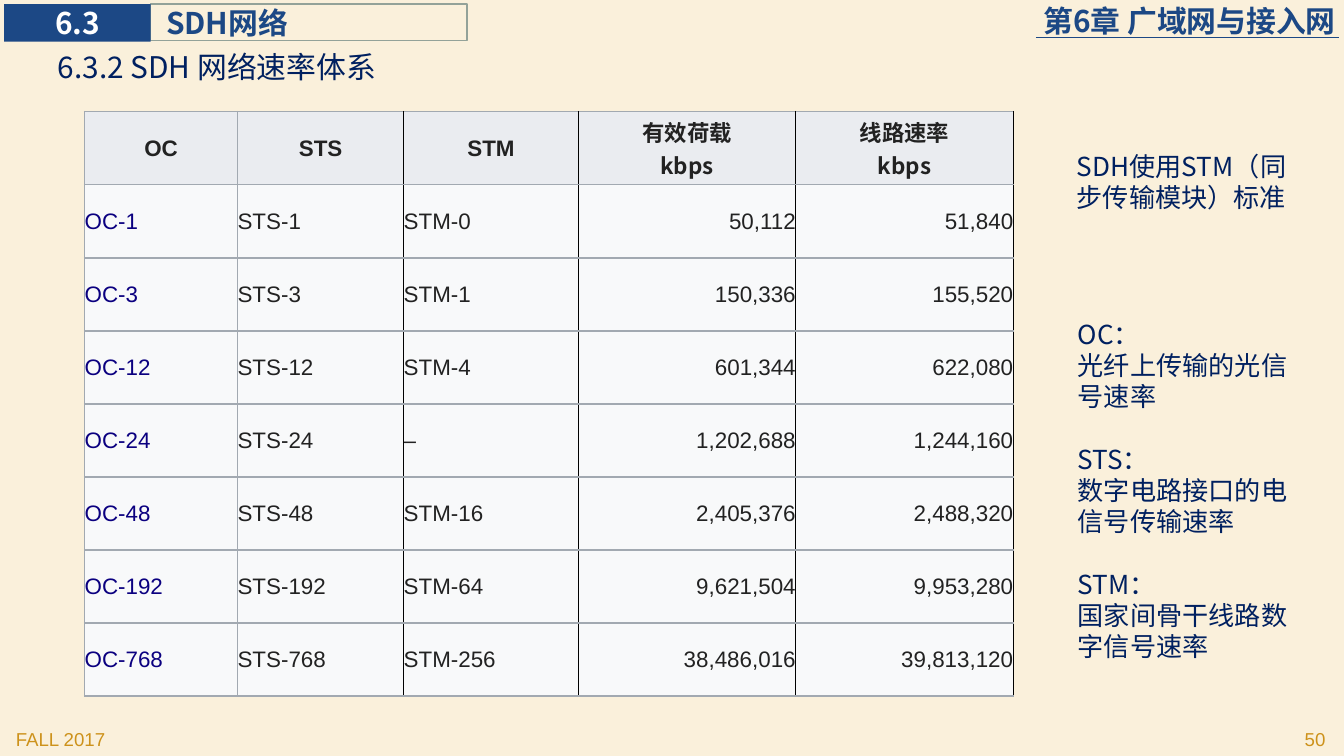
import dataclasses

import pptx
import pptx.dml.color
import pptx.enum.shapes
import pptx.enum.text
import pptx.oxml
import pptx.oxml.ns
import pptx.util
from lxml import etree

Cm = pptx.util.Cm
Pt = pptx.util.Pt
ALIGN = pptx.enum.text.PP_ALIGN
ANCHOR = pptx.enum.text.MSO_ANCHOR


@dataclasses.dataclass(frozen=True)
class Theme:
    background: str = "FAF0DB"
    brand: str = "1C4885"
    frame: str = "93A299"
    white: str = "FFFFFF"
    body: str = "002060"
    footer: str = "CD921B"
    cell_text: str = "222222"
    carrier: str = "0B0080"
    header_fill: str = "EAECF0"
    cell_fill: str = "F8F9FA"
    grid: str = "A2A9B1"
    divider: str = "000000"
    latin: str = "Arial"
    chinese: str = "Noto Sans CJK SC"
    heading_size: float = 16
    note_size: float = 14
    note_line: float = 16.75
    table_size: float = 12
    footer_size: float = 10


@dataclasses.dataclass(frozen=True)
class Box:
    left: float
    top: float
    width: float
    height: float

    def inner(self, left, top, width, height):
        return Box(self.left + left, self.top + top, width, height)

    def lengths(self):
        return Cm(self.left), Cm(self.top), Cm(self.width), Cm(self.height)


THEME = Theme()


def rgb(color):
    return pptx.dml.color.RGBColor.from_string(color)


def add_run(paragraph, text, size, color, font, bold=False):
    run = paragraph.add_run()
    run.text = text
    run.font.size = Pt(size)
    run.font.bold = bold
    run.font.name = font
    run.font.color.rgb = rgb(color)
    east_asian = etree.SubElement(run.font._element, pptx.oxml.ns.qn("a:ea"))
    east_asian.set("typeface", font)


def set_frame(frame, anchor, insets=None, wrap=True):
    frame.word_wrap = wrap
    frame.auto_size = pptx.enum.text.MSO_AUTO_SIZE.NONE
    frame.vertical_anchor = anchor
    if insets is not None:
        frame.margin_left = Cm(insets)
        frame.margin_top = frame.margin_right = frame.margin_bottom = 0


def add_text(slide, box, text, size, color, font, bold=False,
             align=ALIGN.LEFT, anchor=ANCHOR.TOP, insets=None):
    shape = slide.shapes.add_textbox(*box.lengths())
    set_frame(shape.text_frame, anchor, insets)
    paragraph = shape.text_frame.paragraphs[0]
    paragraph.alignment = align
    add_run(paragraph, text, size, color, font, bold)


def add_label(slide, box, text, color, align, inset, fill=None, line=None):
    shape = slide.shapes.add_shape(
        pptx.enum.shapes.MSO_SHAPE.RECTANGLE, *box.lengths())
    shape.shadow.inherit = False
    if fill:
        shape.fill.solid()
        shape.fill.fore_color.rgb = rgb(fill)
    else:
        shape.fill.background()
    if line:
        shape.line.color.rgb = rgb(line)
        shape.line.width = Pt(0.75)
    else:
        shape.line.fill.background()
    set_frame(shape.text_frame, ANCHOR.MIDDLE, inset, wrap=fill is None)
    paragraph = shape.text_frame.paragraphs[0]
    paragraph.alignment = align
    add_run(paragraph, text, THEME.heading_size, color, THEME.chinese, True)


def add_header(slide, box):
    add_text(slide, box.inner(box.width - 9.7, 0.05, 9.55, 0.69), "第6章 广域网与接入网",
             THEME.heading_size, THEME.brand, THEME.chinese, True,
             ALIGN.RIGHT, ANCHOR.MIDDLE, 0)
    right, level = box.left + box.width - 0.1, box.top + 0.71
    rule = slide.shapes.add_connector(
        pptx.enum.shapes.MSO_CONNECTOR.STRAIGHT,
        Cm(right - 5.72), Cm(level), Cm(right), Cm(level))
    rule.line.color.rgb = rgb(THEME.brand)
    rule.line.width = Pt(0.5)
    etree.SubElement(rule._element.spPr, pptx.oxml.ns.qn("a:effectLst"))
    add_label(slide, box.inner(2.84, 0.08, 5.99, 0.69), "SDH网络",
              THEME.brand, ALIGN.LEFT, 0.3, line=THEME.frame)
    add_label(slide, box.inner(0.08, 0.08, 2.77, 0.71), "6.3",
              THEME.white, ALIGN.CENTER, 0, fill=THEME.brand)


def add_title(slide, box):
    title = slide.shapes.title
    title.left, title.top, title.width, title.height = box.lengths()
    set_frame(title.text_frame, ANCHOR.MIDDLE)
    paragraph = title.text_frame.paragraphs[0]
    paragraph.alignment = ALIGN.LEFT
    add_run(paragraph, "6.3.2 SDH 网络速率体系", THEME.heading_size,
            THEME.body, THEME.chinese)


def set_borders(cell, **borders):
    properties = cell._tc.get_or_add_tcPr()
    for side in "LRTB":
        color, width = borders[side]
        properties.append(pptx.oxml.parse_xml(
            f'<a:ln{side} {pptx.oxml.ns.nsdecls("a")} w="{Pt(width)}">'
            f'<a:solidFill><a:srgbClr val="{color}"/></a:solidFill></a:ln{side}>'))


def fill_cell(cell, lines, row, column):
    header = row == 0
    grid, divider = (THEME.grid, 1), (THEME.divider, 0.75)
    set_borders(cell, L=grid if column < 2 else divider,
                R=grid if column < 1 else divider, T=grid, B=grid)
    cell.fill.solid()
    cell.fill.fore_color.rgb = rgb(THEME.header_fill if header else THEME.cell_fill)
    cell.margin_left = cell.margin_right = cell.margin_top = cell.margin_bottom = 0
    cell.vertical_anchor = ANCHOR.MIDDLE
    numeric = column > 2
    align = ALIGN.CENTER if header else ALIGN.RIGHT if numeric else ALIGN.LEFT
    color = THEME.carrier if column == 0 and not header else THEME.cell_text
    font = THEME.chinese if header and numeric else THEME.latin
    frame = cell.text_frame
    for index, line in enumerate(lines):
        paragraph = frame.add_paragraph() if index else frame.paragraphs[0]
        paragraph.alignment = align
        add_run(paragraph, line, THEME.table_size, color, font, header)


def add_rate_table(slide, box):
    headings = [["OC"], ["STS"], ["STM"], ["有效荷载", "kbps"], ["线路速率", "kbps"]]
    rates = [
        (1, "STM-0", 50112, 51840),
        (3, "STM-1", 150336, 155520),
        (12, "STM-4", 601344, 622080),
        (24, "–", 1202688, 1244160),
        (48, "STM-16", 2405376, 2488320),
        (192, "STM-64", 9621504, 9953280),
        (768, "STM-256", 38486016, 39813120),
    ]
    rows = [headings] + [
        [[f"OC-{level}"], [f"STS-{level}"], [module], [f"{payload:,}"], [f"{line:,}"]]
        for level, module, payload, line in rates]
    table = slide.shapes.add_table(len(rows), len(headings), *box.lengths()).table
    table.first_row = table.horz_banding = False
    for column, width in zip(table.columns, (2.89, 3.14, 3.3, 4.11, 4.11)):
        column.width = Cm(width)
    for row, cells in enumerate(rows):
        table.rows[row].height = Cm(box.height / len(rows))
        for column, lines in enumerate(cells):
            fill_cell(table.cell(row, column), lines, row, column)


def add_note(slide, box, groups):
    frame = slide.shapes.add_textbox(*box.lengths()).text_frame
    set_frame(frame, ANCHOR.TOP)
    for group_index, group in enumerate(groups):
        for line_index, line in enumerate(group):
            first = group_index == line_index == 0
            paragraph = frame.paragraphs[0] if first else frame.add_paragraph()
            paragraph.line_spacing = Pt(THEME.note_line)
            if group_index and line_index == 0:
                paragraph.space_before = Pt(THEME.note_line)
            add_run(paragraph, line, THEME.note_size, THEME.body, THEME.chinese)


def add_notes(slide, box):
    add_note(slide, box.inner(0, 0, box.width, 2.1),
             [["SDH使用STM（同步传输模块）标准"]])
    add_note(slide, box.inner(0.02, 3.17, box.width, 6.83), [
        ["OC：", "光纤上传输的光信号速率"],
        ["STS：", "数字电路接口的电信号传输速率"],
        ["STM：", "国家间骨干线路数字信号速率"],
    ])


def add_footer(slide, box):
    width = 5.28
    for left, text, align in ((0, "FALL 2017", ALIGN.LEFT),
                              (box.width - width, "50", ALIGN.RIGHT)):
        add_text(slide, box.inner(left, 0, width, box.height), text,
                 THEME.footer_size, THEME.footer, THEME.latin, align=align)


def main():
    presentation = pptx.Presentation()
    presentation.slide_width = Cm(25.4)
    presentation.slide_height = Cm(14.29)
    slide = presentation.slides.add_slide(presentation.slide_layouts[5])
    slide.background.fill.solid()
    slide.background.fill.fore_color.rgb = rgb(THEME.background)
    add_header(slide, Box(0, 0, 25.4, 0.8))
    add_title(slide, Box(0.84, 0.79, 12.95, 0.94))
    add_rate_table(slide, Box(1.6, 2.11, 17.55, 11.05))
    add_notes(slide, Box(20.1, 2.72, 4.5, 10))
    add_footer(slide, Box(0.05, 13.64, 25.25, 0.58))
    presentation.save("out.pptx")


if __name__ == "__main__":
    main()
